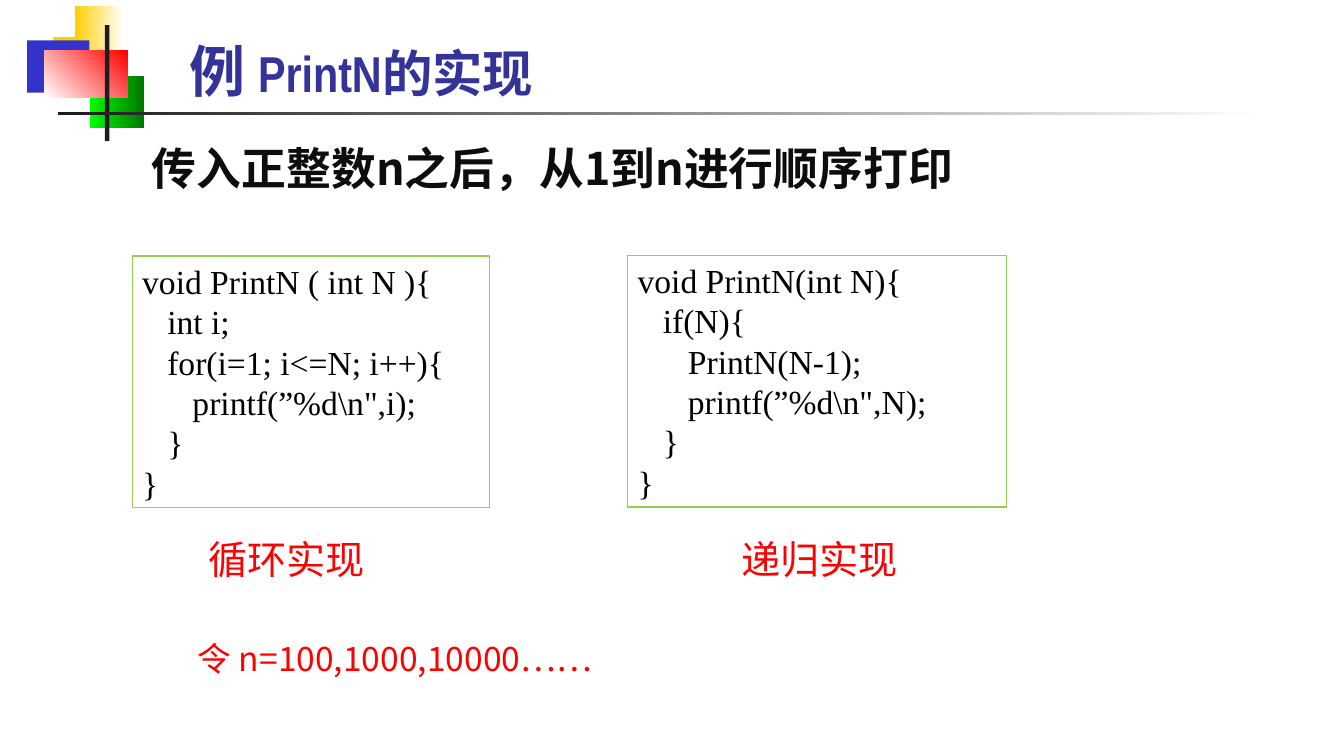
from dataclasses import dataclass
from typing import Any, NamedTuple, Optional

from lxml import etree
from pptx import Presentation
from pptx.dml.color import RGBColor
from pptx.enum import shapes, text
from pptx.oxml import ns
from pptx.util import Pt


@dataclass(frozen=True)
class Theme:
    sans: str = "Noto Sans CJK SC"
    serif: str = "Times New Roman"
    narrow: str = "Arial Narrow"
    navy: str = "333399"
    ink: str = "0D0D0D"
    black: str = "000000"
    red: str = "FF0000"
    green: str = "92D050"
    gold: str = "FFCF01"
    blue: str = "3333CC"
    lime: str = "00FF00"
    moss: str = "007600"
    coal: str = "1C1C1C"
    white: str = "FFFFFF"
    big: int = 40
    title: int = 36
    head: int = 32
    label: int = 28
    code: int = 24
    note: int = 24


T = Theme()


class Box(NamedTuple):
    left: float
    top: float
    width: float
    height: float


class Block(NamedTuple):
    """A filled block; a second colour makes a gradient."""
    box: Box
    start: str
    end: Optional[str] = None
    angle: float = 0


class Note(NamedTuple):
    """A text area, framed when it has an edge colour."""
    box: Box
    lines: list[str]
    font: str
    size: int
    color: str
    bold: bool = False
    pitch: Any = None
    edge: Optional[str] = None


def rgb(code: str) -> RGBColor:
    return RGBColor.from_string(code)


def place(box: Box) -> list[Pt]:
    return [Pt(v) for v in box]


def style(para: Any, face: str, color: str, bold: bool) -> None:
    font = para.font
    font.name, font.bold = face, bold
    font.color.rgb = rgb(color)
    # East Asian glyphs take the sans face
    props = para._p.pPr.find(ns.qn("a:defRPr"))
    etree.SubElement(props, ns.qn("a:ea")).set("typeface", T.sans)


def add_block(slide: Any, block: Block) -> None:
    shape = slide.shapes.add_shape(shapes.MSO_SHAPE.RECTANGLE, *place(block.box))
    shape.shadow.inherit = False
    shape.line.fill.background()
    if block.end is None:
        shape.fill.solid()
        shape.fill.fore_color.rgb = rgb(block.start)
        return
    shape.fill.gradient()
    shape.fill.gradient_angle = block.angle
    stops = shape.fill.gradient_stops
    for stop, color, pos in zip(stops, (block.start, block.end), (0, 1)):
        stop.color.rgb = rgb(color)
        stop.position = pos


def add_note(slide: Any, note: Note) -> None:
    if note.edge:
        shape = slide.shapes.add_shape(shapes.MSO_SHAPE.RECTANGLE, *place(note.box))
        shape.shadow.inherit = False
        shape.fill.background()
        shape.line.color.rgb = rgb(note.edge)
        shape.line.width = Pt(0.75)
    else:
        shape = slide.shapes.add_textbox(*place(note.box))
    frame = shape.text_frame
    frame.word_wrap = True
    frame.vertical_anchor = text.MSO_ANCHOR.TOP
    for i, line in enumerate(note.lines):
        para = frame.add_paragraph() if i else frame.paragraphs[0]
        para.text = line
        para.alignment = text.PP_ALIGN.LEFT
        if note.pitch:
            para.line_spacing = note.pitch
        para.font.size = Pt(note.size)
        style(para, note.font, note.color, note.bold)


def add_title(slide: Any, box: Box) -> None:
    title = slide.shapes.title
    title.left, title.top, title.width, title.height = place(box)
    frame = title.text_frame
    frame.word_wrap = True
    frame.auto_size = text.MSO_AUTO_SIZE.NONE
    frame.vertical_anchor = text.MSO_ANCHOR.BOTTOM
    para = frame.paragraphs[0]
    para.alignment = text.PP_ALIGN.LEFT
    for words, size in (("例 ", T.big), ("PrintN的实现", T.title)):
        run = para.add_run()
        run.text = words
        run.font.size = Pt(size)
    style(para, T.narrow, T.navy, True)


# Corner ornament and title rule
BLOCKS = [
    Block(Box(38.2, 26.6, 46, 37.4), T.gold),
    Block(Box(53.6, 4.3, 34.5, 37.4), T.gold, T.white),
    Block(Box(19.4, 28.8, 44.6, 37.4), T.blue),
    Block(Box(64.2, 54.2, 38.8, 37.4), T.lime, T.moss),
    Block(Box(31.6, 36, 59.4, 33.4), T.white, T.red, 45),
    Block(Box(74.9, 18, 3.4, 82.8), T.coal),
    Block(Box(41.3, 80, 864, 2.4), T.coal, T.white),
]

# Code of both versions
LOOP = [
    "void PrintN ( int N ){",
    "   int i;",
    "   for(i=1; i<=N; i++){",
    "      printf(”%d\\n\",i);",
    "   }",
    "}",
]
RECUR = [
    "void PrintN(int N){",
    "   if(N){",
    "      PrintN(N-1);",
    "      printf(”%d\\n\",N);",
    "   }",
    "}",
]


def code(box: Box, lines: list[str]) -> Note:
    return Note(box, lines, T.serif, T.code, T.black, pitch=Pt(28.8), edge=T.green)


def label(left: float, words: str) -> Note:
    return Note(Box(left, 385.2, 178.6, 58.3), [words], T.sans, T.label, T.red, pitch=0.8)


NOTES = [
    Note(Box(101.5, 104.4, 701, 58.3), ["传入正整数n之后，从1到n进行顺序打印"],
         T.sans, T.head, T.ink, bold=True, pitch=0.8),
    code(Box(94.5, 182.9, 255.6, 180), LOOP),
    code(Box(448.6, 182.2, 270.7, 180), RECUR),
    label(141.8, "循环实现"),
    label(522.7, "递归实现"),
    Note(Box(134.3, 452.2, 336, 58.3), ["令 n=100,1000,10000……"],
         T.sans, T.note, T.red),
]


def main() -> None:
    deck = Presentation()
    deck.slide_width, deck.slide_height = Pt(960.5), Pt(540)
    slide = deck.slides.add_slide(deck.slide_layouts.get_by_name("Title Only"))
    for block in BLOCKS:
        add_block(slide, block)
    add_title(slide, Box(128.2, 18, 817.9, 59.8))
    for note in NOTES:
        add_note(slide, note)
    deck.save("out.pptx")


if __name__ == "__main__":
    main()
